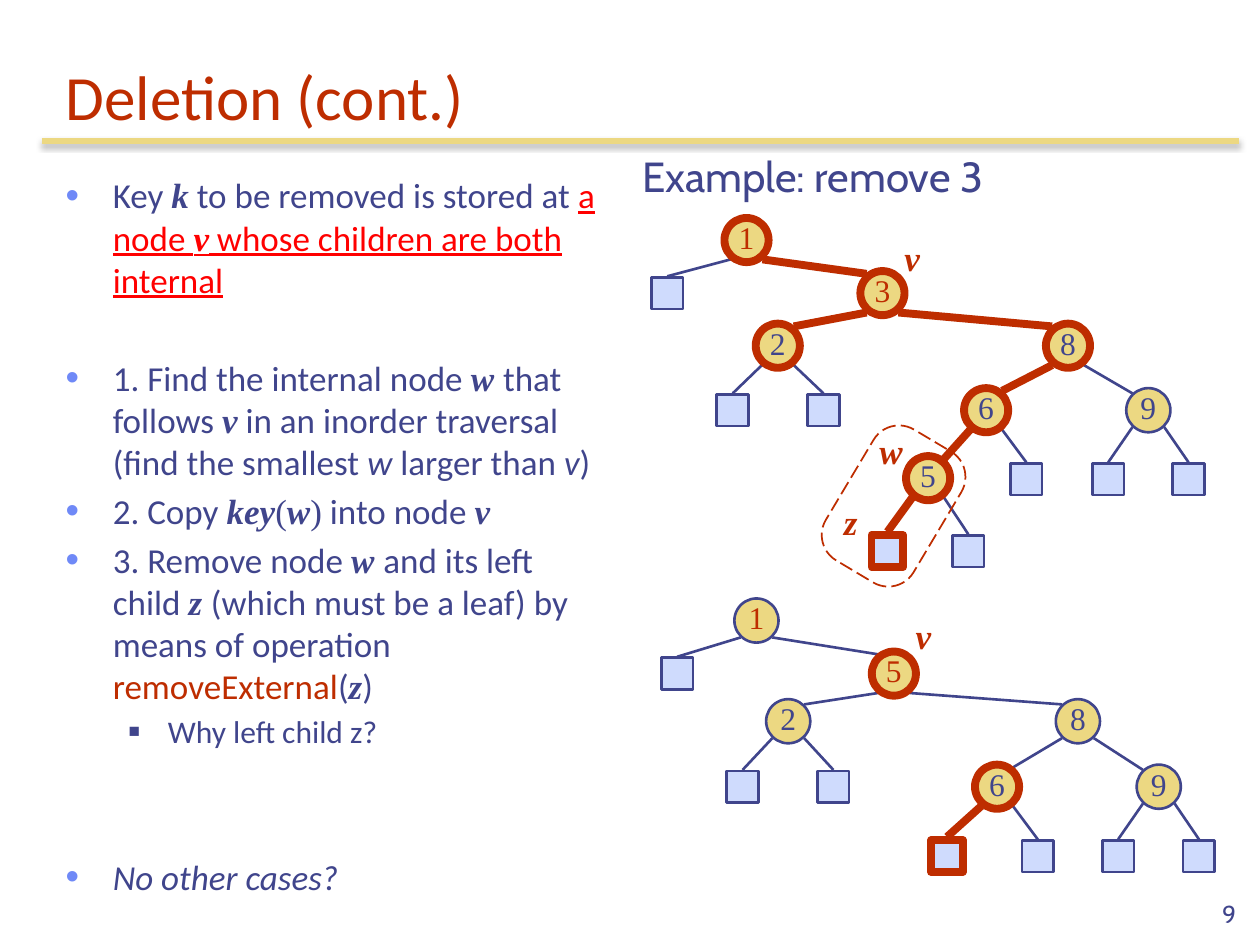
from lxml import etree
from pptx import Presentation
from pptx import util as u
from pptx.dml.color import RGBColor
from pptx.enum import dml, shapes, text
from pptx.oxml import ns

RED = RGBColor(0xBE, 0x2D, 0x00)
ALERT = RGBColor(0xFF, 0x00, 0x00)
NAVY = RGBColor(0x40, 0x45, 0x8C)
BLUE = RGBColor(0x6F, 0x89, 0xF7)
GOLD = RGBColor(0xEC, 0xD8, 0x82)
PALE = RGBColor(0xCF, 0xDB, 0xFD)
SERIF = "Times New Roman"

FORMATS = {
    "plain": {},
    "var": {"name": SERIF, "bold": True, "italic": True},
    "serif": {"name": SERIF},
    "italic": {"italic": True},
    "alert": {"color": ALERT, "underline": True},
    "alert var": {"name": SERIF, "bold": True, "italic": True, "color": ALERT, "underline": True},
    "code": {"color": RED},
}

TITLE = "Deletion (cont.)"
BODY = [
    (0, 4, [("Key ", "plain"), ("k", "var"), (" to be removed is stored at ", "plain"),
            ("a node ", "alert"), ("v", "alert var"), (" whose children are both internal", "alert")]),
    (0, 32, [("1. Find the internal node ", "plain"), ("w ", "var"), ("that follows ", "plain"),
             ("v", "var"), (" in an inorder traversal", "plain"), ("\n", "plain"),
             ("(find the smallest ", "plain"), ("w", "italic"), (" larger than ", "plain"),
             ("v", "italic"), (")", "plain")]),
    (0, 4, [("2. Copy ", "plain"), ("key", "var"), ("(", "serif"), ("w", "var"), (")", "serif"),
            (" into node ", "plain"), ("v", "var")]),
    (0, 4, [("3. Remove node ", "plain"), ("w ", "var"), ("and its left child ", "plain"),
            ("z ", "var"), ("(which must be a leaf) by means of operation ", "plain"),
            ("removeExternal", "code"), ("(", "plain"), ("z", "var"), (")", "plain")]),
    (1, 3.6, [("Why left child z?", "plain")]),
    (0, 60, [("No other cases?", "italic")]),
]
LEVELS = [
    {"size": 20, "left": 0.95, "hang": 0.95, "bullet": "•", "color": BLUE, "scale": 110},
    {"size": 18, "left": 2.06, "hang": 0.79, "bullet": "■", "color": NAVY, "scale": 60},
]

# label, centre x, centre y, parent index, emphasised, label colour
BEFORE = [
    ("1", 15.05, 4.84, None, True, RED), ("", 13.45, 5.91, 0, False, NAVY),
    ("3", 17.79, 5.91, 0, True, RED), ("2", 15.68, 6.97, 2, True, NAVY),
    ("", 14.77, 8.27, 3, False, NAVY), ("", 16.6, 8.27, 3, False, NAVY),
    ("8", 21.53, 6.97, 2, True, NAVY), ("6", 19.88, 8.27, 6, True, NAVY),
    ("9", 23.15, 8.27, 6, False, NAVY), ("5", 18.71, 9.64, 7, True, NAVY),
    ("", 20.69, 9.66, 7, False, NAVY), ("", 22.34, 9.66, 8, False, NAVY),
    ("", 23.96, 9.66, 8, False, NAVY), ("", 17.89, 11.11, 9, True, NAVY),
    ("", 19.52, 11.11, 9, False, NAVY),
]
AFTER = [
    ("1", 15.25, 12.51, None, False, RED), ("", 13.65, 13.58, 0, False, NAVY),
    ("5", 18.02, 13.58, 0, True, RED), ("2", 15.89, 14.54, 2, False, NAVY),
    ("", 14.97, 15.86, 3, False, NAVY), ("", 16.8, 15.86, 3, False, NAVY),
    ("8", 21.73, 14.54, 2, False, NAVY), ("6", 20.1, 15.86, 6, True, NAVY),
    ("9", 23.36, 15.86, 6, False, NAVY), ("", 19.09, 17.26, 7, True, NAVY),
    ("", 20.92, 17.26, 7, False, NAVY), ("", 22.54, 17.26, 8, False, NAVY),
    ("", 24.17, 17.26, 8, False, NAVY),
]
POINTERS = [("v", 17.98, 4.65, 0.81), ("w", 17.48, 8.53, 0.99), ("z", 16.76, 9.96, 0.79),
            ("v", 18.21, 12.27, 0.81)]
CIRCLE, SQUARE, CORNER = 0.89, 0.64, 0.32


def cm(*lengths):
    return [u.Cm(length) for length in lengths]


def style(font, **values):
    values = {"name": "Calibri", "color": NAVY, **values}
    font.color.rgb = values.pop("color")
    font.size = u.Pt(values.pop("size"))
    for key, value in values.items():
        setattr(font, key, value)


def place(shape, *box):
    for key, value in zip(("left", "top", "width", "height"), cm(*box)):
        setattr(shape, key, value)


def element(parent, tag, **attributes):
    return etree.SubElement(parent, ns.qn(tag), attributes)


def add_label(slide, words, box, wrap=False, align=None, anchor=None, **values):
    frame = slide.shapes.add_textbox(*cm(*box)).text_frame
    frame.word_wrap = wrap
    frame.vertical_anchor = anchor
    paragraph = frame.paragraphs[0]
    paragraph.alignment = align
    run = paragraph.add_run()
    run.text = words
    style(run.font, **values)


def add_line(slide, ends, color, width):
    line = slide.shapes.add_connector(shapes.MSO_CONNECTOR.STRAIGHT, *cm(*ends))
    line.line.color.rgb = color
    line.line.width = u.Pt(width)
    return element(line._element.spPr, "a:effectLst")


def add_shape(slide, kind, box, fill, color, width):
    shape = slide.shapes.add_shape(kind, *cm(*box))
    shape.shadow.inherit = False
    if fill is None:
        shape.fill.background()
    else:
        shape.fill.solid()
        shape.fill.fore_color.rgb = fill
    shape.line.color.rgb = color
    shape.line.width = u.Pt(width)
    return shape


def pen(bold):
    return (RED, 4.5) if bold else (NAVY, 1.5)


def add_tree(slide, nodes):
    for label, x, y, parent, bold, _ in nodes:
        if parent is None:
            continue
        _, parent_x, parent_y, _, parent_bold, _ = nodes[parent]
        side = CORNER if x > parent_x else -CORNER
        start = parent_x + side, parent_y + (0.39 if parent_bold else 0.34)
        end = x - (side if label else 0), y - (0.39 if bold else 0.34)
        add_line(slide, start + end, *pen(bold and parent_bold))
    for label, x, y, _, bold, color in nodes:
        size = CIRCLE if label else SQUARE
        kind = shapes.MSO_SHAPE.OVAL if label else shapes.MSO_SHAPE.RECTANGLE
        box = x - size / 2, y - size / 2, size, size
        node = add_shape(slide, kind, box, GOLD if label else PALE, *pen(bold))
        if label:
            frame = node.text_frame
            format_values = {"margin_left": 0, "margin_right": 0, "margin_top": 0,
                             "margin_bottom": u.Cm(0.13), "word_wrap": False,
                             "vertical_anchor": text.MSO_ANCHOR.MIDDLE}
            for key, value in format_values.items():
                setattr(frame, key, value)
            paragraph = frame.paragraphs[0]
            paragraph.alignment = text.PP_ALIGN.CENTER
            run = paragraph.add_run()
            run.text = label
            style(run.font, name=SERIF, size=18, color=color)


def fill_body(frame):
    frame.auto_size = text.MSO_AUTO_SIZE.NONE
    for index, (level, gap, runs) in enumerate(BODY):
        paragraph = frame.add_paragraph() if index else frame.paragraphs[0]
        look = LEVELS[level]
        paragraph.level = level
        paragraph.space_before = u.Pt(gap)
        properties = paragraph._p.get_or_add_pPr()
        properties.set("marL", str(u.Cm(look["left"])))
        properties.set("indent", str(-u.Cm(look["hang"])))
        element(element(properties, "a:buClr"), "a:srgbClr", val=str(look["color"]))
        element(properties, "a:buSzPct", val=str(look["scale"] * 1000))
        element(properties, "a:buChar", char=look["bullet"])
        for words, kind in runs:
            if words == "\n":
                paragraph.add_line_break()
                continue
            run = paragraph.add_run()
            run.text = words
            style(run.font, size=look["size"], **FORMATS[kind])


def main():
    presentation = Presentation()
    presentation.slide_width, presentation.slide_height = cm(25.4, 19.05)
    slide = presentation.slides.add_slide(presentation.slide_layouts[1])

    effects = add_line(slide, (0.84, 2.84, 24.97, 2.84), GOLD, 3)
    shadow = element(effects, "a:outerShdw", blurRad=str(u.Pt(3.1)), dist=str(u.Pt(1.8)),
                     dir="5400000", rotWithShape="0")
    element(element(shadow, "a:srgbClr", val="000000"), "a:alpha", val="35000")

    title, body = slide.placeholders
    place(title, 1.07, 0.84, 23.7, 1.98)
    title.text_frame.text = TITLE
    title.text_frame.auto_size = text.MSO_AUTO_SIZE.NONE
    title.text_frame.vertical_anchor = text.MSO_ANCHOR.BOTTOM
    heading = title.text_frame.paragraphs[0]
    heading.alignment = text.PP_ALIGN.LEFT
    style(heading.runs[0].font, size=36, color=RED)
    place(body, 1.07, 3.38, 11.23, 14.63)
    fill_body(body.text_frame)

    add_tree(slide, BEFORE)
    add_tree(slide, AFTER)
    for words, left, top, width in POINTERS:
        add_label(slide, words, (left, top, width, 1.09), name=SERIF, size=20, color=RED,
                  bold=True, italic=True)
    outline = add_shape(slide, shapes.MSO_SHAPE.ROUNDED_RECTANGLE, (16.48, 9.17, 3.07, 2.06),
                        None, RED, 1)
    outline.adjustments[0] = 0.29
    outline.rotation = 300.8
    outline.line.dash_style = dml.MSO_LINE.LONG_DASH
    add_label(slide, "Example: remove 3", (12.7, 2.9, 7.8, 1.27), name="Cabin", size=24)
    add_label(slide, "9", (19.89, 17.58, 5.28, 1.27), wrap=True, align=text.PP_ALIGN.RIGHT,
              anchor=text.MSO_ANCHOR.BOTTOM, name="Cabin", size=14)
    presentation.save("out.pptx")


if __name__ == "__main__":
    main()
